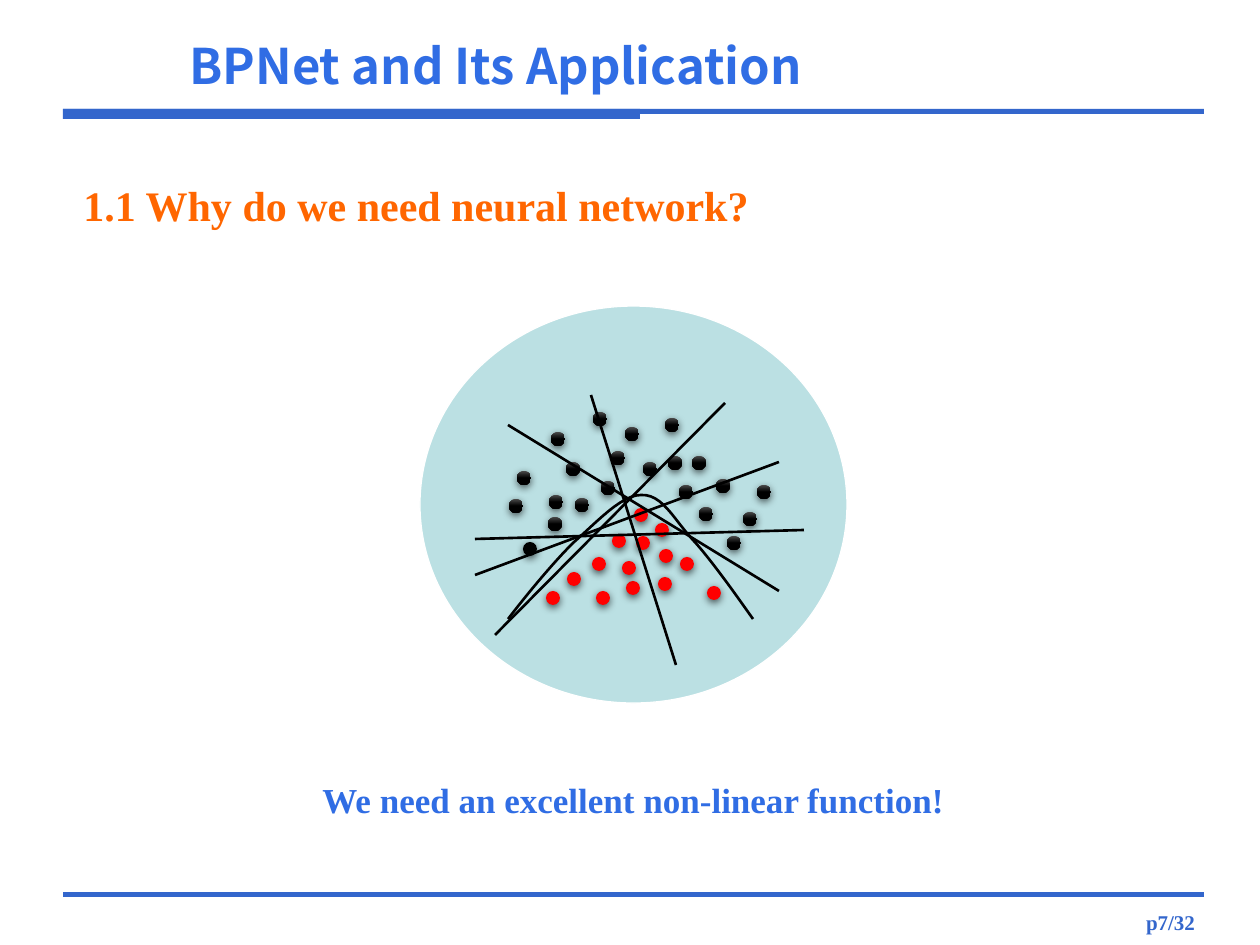
"""Builds the slide on why a neural network is needed."""
from lxml.etree import SubElement
from pptx import Presentation
from pptx.dml.color import RGBColor
from pptx.enum.shapes import MSO_CONNECTOR, MSO_SHAPE
from pptx.enum.text import MSO_ANCHOR, PP_ALIGN
from pptx.oxml.ns import qn
from pptx.util import Emu, Pt

THEME = {
    "bar": "3366CC", "blue": "306DE4", "orange": "FF6600", "disc": "BBE0E3",
    "white": "FFFFFF", "black": "000000", "gray": "4B4B4B", "red": "FF0000",
    "sans": "Noto Sans CJK SC", "serif": "Times New Roman",
    "head": 28, "title": 24, "note": 20, "page": 12,
}
SIZE = (1260, 945)
BARS = [(63, 892, 1141, 5), (63, 109, 1141, 5), (63, 109, 577, 10)]
TEXTS = [
    ("BPNet and Its Application", (123, 30, 745, 69), "head", "sans", "blue", PP_ALIGN.CENTER, False),
    ("p7/32", (1086, 900, 169, 45), "page", "serif", "bar", PP_ALIGN.CENTER, True),
    ("1.1 Why do we need neural network?", (71, 165, 1141, 79), "title", "serif", "orange", PP_ALIGN.LEFT, True),
    ("We need an excellent non-linear function!", (310, 765, 650, 69), "note", "serif", "blue", PP_ALIGN.LEFT, False),
]
DISC = (420, 306, 427, 397)
DOT = 14
SHADED = [
    (551, 432), (743, 512), (566, 462), (509, 499), (517, 471), (548, 517), (549, 495),
    (757, 485), (601, 481), (679, 485), (575, 498), (692, 456), (668, 456), (625, 427),
    (665, 418), (611, 451), (593, 412), (727, 536), (643, 462), (699, 507), (716, 479),
]
PLAIN = [(523, 542)]
REDS = [
    (546, 591), (680, 557), (596, 591), (707, 586), (626, 581), (612, 534), (655, 523),
    (622, 561), (592, 557), (658, 577), (567, 572), (634, 508), (636, 536), (659, 549),
]
CURVE = [
    (508, 619), (529, 592), (552, 564), (573, 543), (596, 523), (621, 495), (641, 495),
    (662, 494), (673, 518), (692, 539), (711, 559), (743, 605), (753, 619),
]
LINES = [
    (475, 539, 804, 530), (475, 575, 779, 462), (495, 635, 725, 403),
    (676, 665, 591, 395), (779, 591, 508, 425),
]
STEPS = 12


def px(val):
    return Emu(round(val * 914400 / 126))


def rgb(name):
    return RGBColor.from_string(THEME[name])


def add_shape(slide, kind, box, fill):
    shape = slide.shapes.add_shape(kind, *map(px, box))
    shape.shadow.inherit = False
    if fill == "shaded":
        shape.fill.gradient()
        shape.fill.gradient_angle = 270
        for stop, name, pos in zip(shape.fill.gradient_stops, ("gray", "black"), (0, 0.5)):
            stop.color.rgb, stop.position = rgb(name), pos
    else:
        shape.fill.solid()
        shape.fill.fore_color.rgb = rgb(fill)
    shape.line.fill.background()
    return shape


def add_dot(slide, spot, fill):
    dot = add_shape(slide, MSO_SHAPE.OVAL, (*spot, DOT, DOT), fill)
    effects = dot._element.spPr.find(qn("a:effectLst"))
    cast = SubElement(effects, qn("a:outerShdw"), blurRad=str(Pt(4.5)), dist=str(Pt(1.5)),
                      dir="5400000", algn="ctr", rotWithShape="0")
    tint = SubElement(cast, qn("a:srgbClr"), val=THEME["black"])
    SubElement(tint, qn("a:alpha"), val="63000")


def add_text(slide, text, box, size, face, color, align, wrap):
    frame = slide.shapes.add_textbox(*map(px, box)).text_frame
    frame.word_wrap = wrap
    frame.vertical_anchor = MSO_ANCHOR.MIDDLE
    para = frame.paragraphs[0]
    para.text, para.alignment = text, align
    font = para.font
    font.size, font.name, font.bold = Pt(THEME[size]), THEME[face], True
    font.color.rgb = rgb(color)


def ink(shape):
    shape.line.color.rgb = rgb("black")
    shape.line.width = Pt(1.5)


def trace(knots):
    spots = [knots[0]]
    for at in range(0, len(knots) - 1, 3):
        part = knots[at:at + 4]
        for step in range(1, STEPS + 1):
            t = step / STEPS
            mix = ((1 - t) ** 3, 3 * t * (1 - t) ** 2, 3 * t * t * (1 - t), t ** 3)
            spots.append(tuple(sum(m * k[axis] for m, k in zip(mix, part)) for axis in (0, 1)))
    return [(px(x), px(y)) for x, y in spots]


def add_curve(slide):
    spots = trace(CURVE)
    path = slide.shapes.build_freeform(*spots[0])
    path.add_line_segments(spots[1:], close=False)
    curve = path.convert_to_shape()
    curve.shadow.inherit = False
    curve.fill.background()
    ink(curve)


def add_line(slide, ends):
    line = slide.shapes.add_connector(MSO_CONNECTOR.STRAIGHT, *map(px, ends))
    ink(line)
    SubElement(line._element.spPr, qn("a:effectLst"))


def main():
    deck = Presentation()
    deck.slide_width, deck.slide_height = map(px, SIZE)
    slide = deck.slides.add_slide(deck.slide_layouts[6])
    for box in BARS:
        add_shape(slide, MSO_SHAPE.RECTANGLE, box, "bar")
    disc = add_shape(slide, MSO_SHAPE.OVAL, DISC, "disc")
    disc.line.color.rgb = rgb("white")
    disc.line.width = Pt(0.75)
    for spots, fill in ((SHADED, "shaded"), (PLAIN, "black"), (REDS, "red")):
        for spot in spots:
            add_dot(slide, spot, fill)
    for item in TEXTS:
        add_text(slide, *item)
    add_curve(slide)
    for ends in LINES:
        add_line(slide, ends)
    deck.save("out.pptx")


if __name__ == "__main__":
    main()
